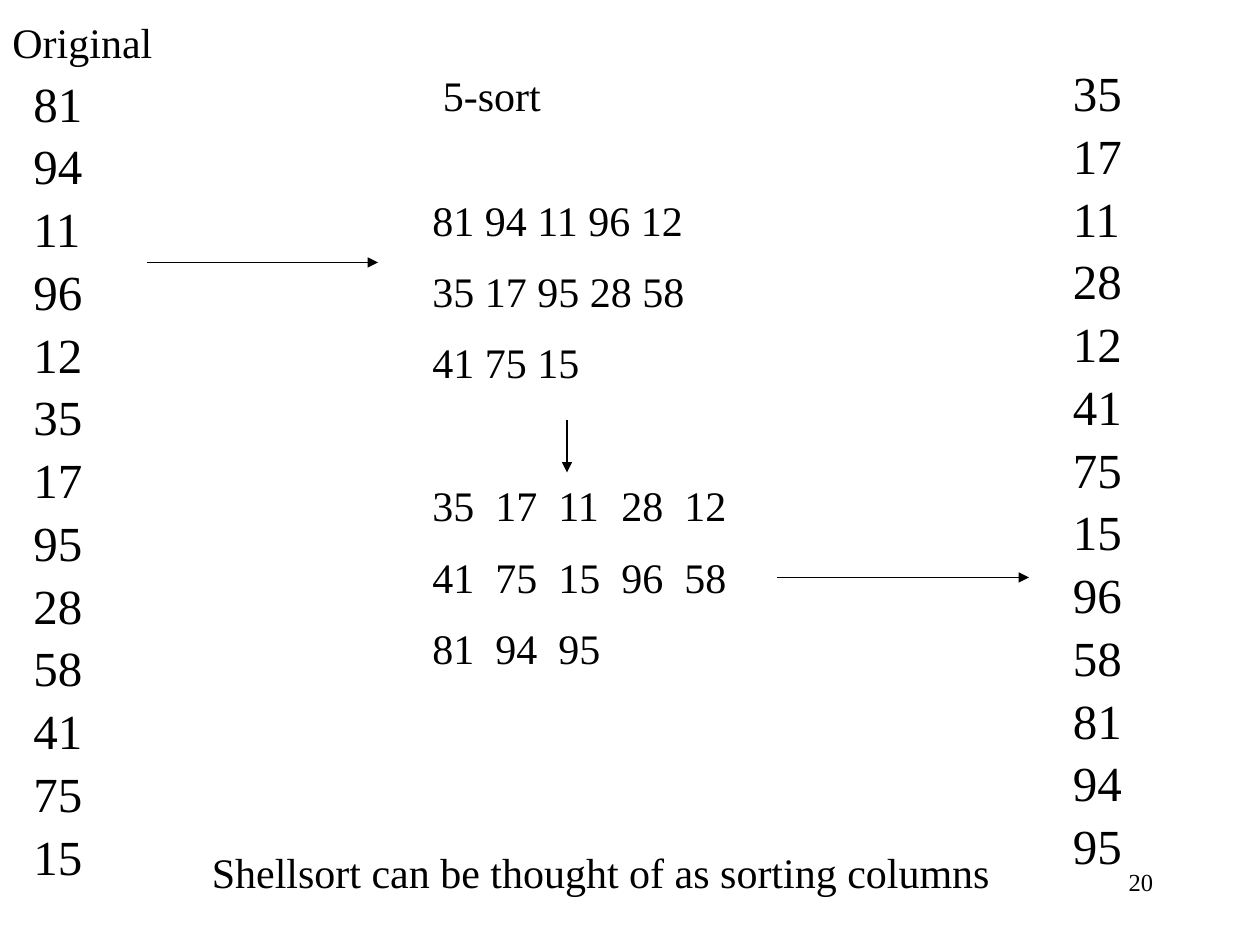
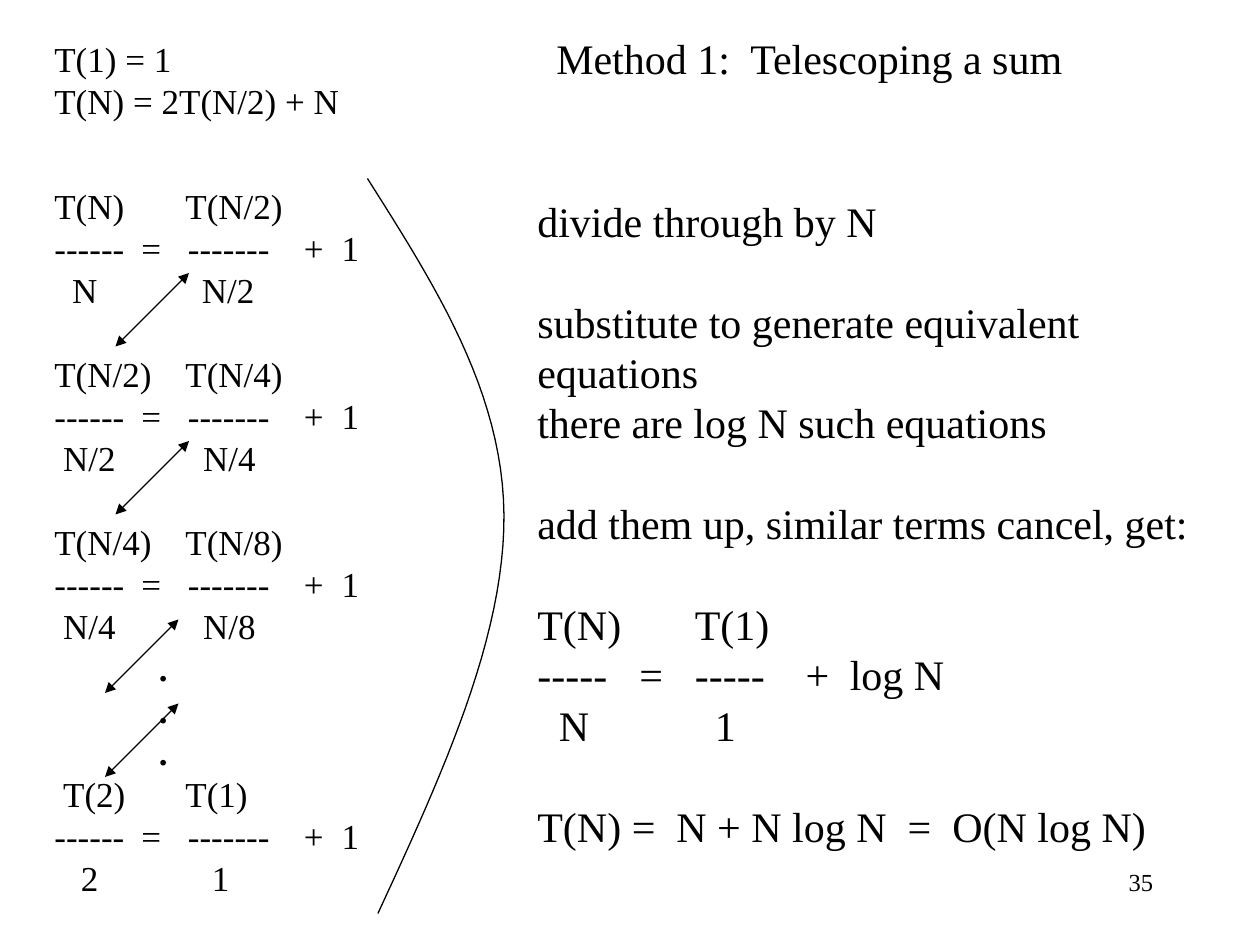
from dataclasses import dataclass

from lxml.etree import SubElement
from pptx import Presentation
from pptx.dml.color import RGBColor
from pptx.enum.shapes import MSO_CONNECTOR as Connector
from pptx.enum.text import PP_ALIGN as Align
from pptx.oxml.ns import qn
from pptx.util import Inches, Pt


@dataclass(frozen=True)
class Theme:
    ink: RGBColor = RGBColor(0, 0, 0)
    font: str = "Times New Roman"
    numbers: int = 28
    heading: int = 24
    equations: int = 20
    footer: int = 14
    line_width: float = 0.75
    line_height: float = 1.2  # height of one text line, in type sizes


@dataclass(frozen=True)
class Line:
    text: str
    stops: tuple = ()  # tab stops in inches
    gap: float = 0  # space before, in type sizes
    bold: bool = False


theme = Theme()
blank_line = theme.line_height

presentation = Presentation()
presentation.slide_width = Inches(10)
presentation.slide_height = Inches(7.5)
layout = presentation.slide_layouts[6]

# The slide is a grid of 120 columns by 90 rows of square cells
cell = presentation.slide_width / 120


def add_text(slide, box, size, lines, align=Align.LEFT, spacing=None):
    left, top, width, height = (round(cells * cell) for cells in box)
    frame = slide.shapes.add_textbox(left, top, width, height).text_frame
    frame.word_wrap = True
    for index, line in enumerate(lines):
        paragraph = frame.add_paragraph() if index else frame.paragraphs[0]
        paragraph.text = line.text
        paragraph.alignment = align
        paragraph.space_before = Pt(line.gap * size)
        if spacing:
            paragraph.line_spacing = spacing
        if line.stops:
            tabs = SubElement(paragraph._p.get_or_add_pPr(), qn("a:tabLst"))
            for stop in line.stops:
                SubElement(tabs, qn("a:tab"), pos=str(Inches(stop)), algn="l")
        paragraph.font.name = theme.font
        paragraph.font.size = Pt(size)
        paragraph.font.bold = line.bold
        paragraph.font.color.rgb = theme.ink


def add_arrow(slide, ends, both=False):
    points = (round(cells * cell) for cells in ends)
    arrow = slide.shapes.add_connector(Connector.STRAIGHT, *points)
    arrow.line.color.rgb = theme.ink
    arrow.line.width = Pt(theme.line_width)
    properties = arrow._element.spPr
    outline = properties.find(qn("a:ln"))
    for tip in ("a:headEnd", "a:tailEnd") if both else ("a:tailEnd",):
        SubElement(outline, qn(tip), type="triangle")
    SubElement(properties, qn("a:effectLst"))


# Both slides carry a page number at the lower right
sort_slide, sum_slide = [presentation.slides.add_slide(layout) for _ in range(2)]
for slide, number in ((sort_slide, "20"), (sum_slide, "35")):
    add_text(slide, (90, 82, 21, 6), theme.footer, [Line(number)], Align.RIGHT)

# Slide 1: number columns before and after the 5-sort
for column, row, numbers in (
    (2, 7, "81 94 11 96 12 35 17 95 28 58 41 75 15"),
    (101, 6, "35 17 11 28 12 41 75 15 96 58 81 94 95"),
):
    lines = [Line(number, gap=0.2) for number in numbers.split()]
    add_text(sort_slide, (column, row, 8, 80), theme.numbers, lines, spacing=0.9)

# Slide 1: the rows whose columns are sorted
row_gap = 0.5
unsorted_rows = ("81 94 11 96 12", "35 17 95 28 58", "41 75 15")
sorted_rows = ("35 17 11 28 12", "41 75 15 96 58", "81 94 95")
lines = [Line(row, gap=row_gap) for row in unsorted_rows]
for index, row in enumerate(sorted_rows):
    gap = row_gap if index else 2 * row_gap + blank_line
    lines.append(Line(row.replace(" ", "\t"), (0.5, 1, 1.5, 2), gap))
add_text(sort_slide, (40, 17.9, 34, 49), theme.heading, lines)

# Slide 1: labels and arrows
for box, label in (
    ((0, 1, 17, 6), "Original"),
    ((41, 6, 13, 6), "5-sort"),
    ((19, 80, 78, 6), "Shellsort can be thought of as sorting columns"),
):
    add_text(sort_slide, box, theme.heading, [Line(label)])
for ends in ((14, 25, 36, 25), (54, 40, 54, 45), (74, 55, 98, 55)):
    add_arrow(sort_slide, ends)

# Slide 2: heading and recurrence
add_text(sum_slide, (51.8, 2.5, 52, 6), theme.heading,
         [Line("Method 1:  Telescoping a sum")])
add_text(sum_slide, (4, 3, 31, 9.2), theme.equations,
         [Line("T(1) = 1"), Line("T(N) = 2T(N/2) + N")])

# Slide 2: telescoping equations, with dots before the last one
lines = []
for top, bottom, top_stops, bottom_stops, gap in (
    ("T(N)\tT(N/2)", "\tN\tN/2", (1.04,), (0.14, 1.17), 0),
    ("T(N/2)\tT(N/4)", "\tN/2\tN/4", (1.04,), (0.07, 1.18), blank_line),
    ("T(N/4)\tT(N/8)", "\tN/4\tN/8", (1.04,), (0.07, 1.18), blank_line),
    ("\tT(2)\tT(1)", "\t2\t1", (0.07, 1.04), (0.21, 1.25), 0),
):
    if top.startswith("\tT(2)"):
        lines += [Line("\t.", (0.83,), bold=True)] * 3
    lines += [
        Line(top, top_stops, gap),
        Line("------\t=\t-------\t+\t1", (0.69, 1.06, 1.98, 2.28)),
        Line(bottom, bottom_stops),
    ]
add_text(sum_slide, (4, 17, 36, 69.2), theme.equations, lines)

# Slide 2: curve that joins the equations to the explanation
curves = (
    ((35, 17), (41.4, 27.1), (47.9, 37.3), (48, 49)),
    ((48, 49), (48.1, 60.7), (42.1, 73.8), (36, 87)),
)
steps = 24
points = []
for curve in curves:
    for step in range(1, steps + 1):
        t = step / steps
        weights = ((1 - t) ** 3, 3 * t * (1 - t) ** 2, 3 * t**2 * (1 - t), t**3)
        points.append(tuple(
            round(cell * sum(weight * value for weight, value in zip(weights, axis)))
            for axis in zip(*curve)
        ))
start_x, start_y = (round(cells * cell) for cells in curves[0][0])
builder = sum_slide.shapes.build_freeform(start_x, start_y)
builder.add_line_segments(points, close=False)
bracket = builder.convert_to_shape()
bracket.shadow.inherit = False
bracket.fill.background()
bracket.line.color.rgb = theme.ink
bracket.line.width = Pt(theme.line_width)

# Slide 2: explanation and result, ending above the page number
add_text(sum_slide, (50, 18, 68.4, 63.5), theme.heading, [
    Line("divide through by N"),
    Line("substitute to generate equivalent equations", gap=blank_line),
    Line("there are log N such equations"),
    Line("add them up, similar terms cancel, get:", gap=blank_line),
    Line("T(N)\tT(1)", (1.25,), blank_line),
    Line("-----\t=\t-----\t+\tlog N", (0.81, 1.25, 2.13, 2.48)),
    Line("\tN\t1", (0.17, 1.41)),
    Line("T(N) =  N + N log N  =  O(N log N)", gap=blank_line),
])

# Slide 2: arrows between terms that cancel
for column, row in ((11, 33), (11, 49), (10, 66), (10, 74)):
    add_arrow(sum_slide, (column, row, column + 7, row - 7), both=True)

presentation.save("out.pptx")
